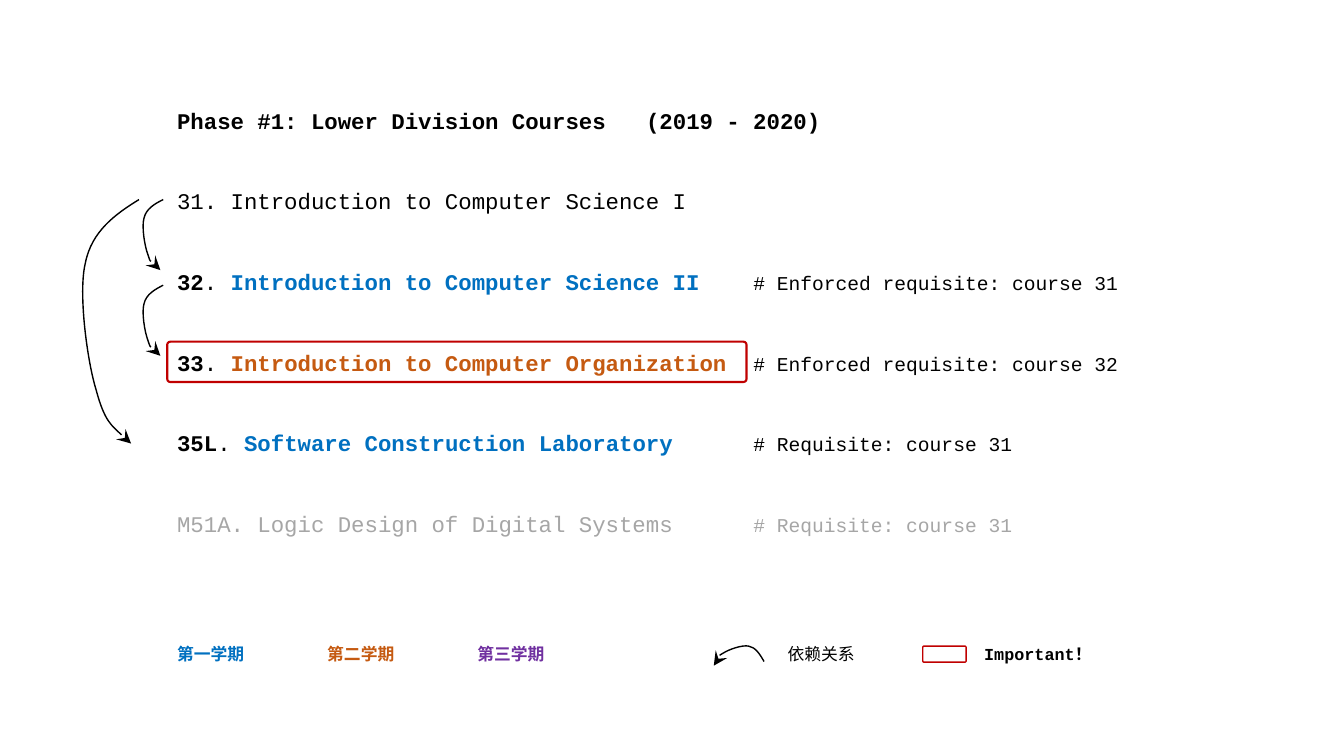
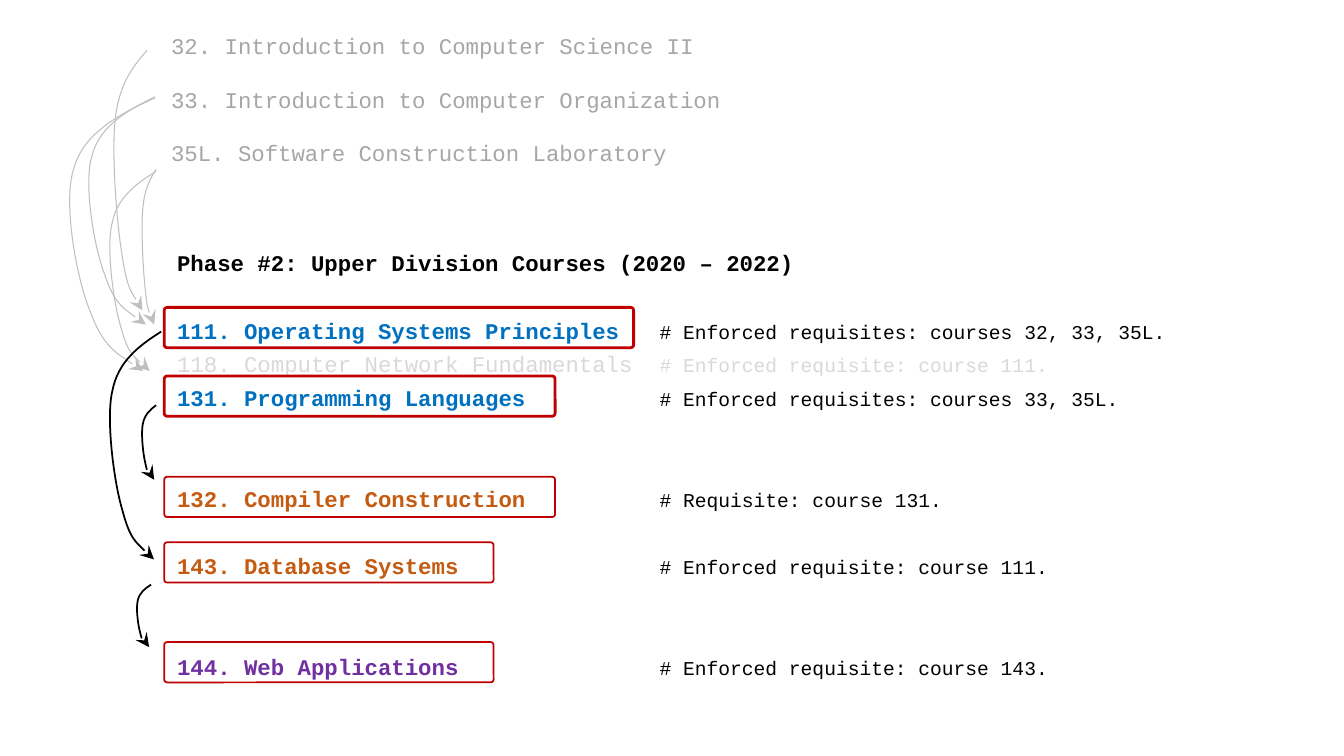
import pptx
import pptx.dml.color
import pptx.enum.shapes
import pptx.enum.text
import pptx.oxml
import pptx.oxml.ns
import pptx.util
from pptx.util import Inches

BLACK, RED = "000000", "C00000"
BLUE, ORANGE, PURPLE = "0070C0", "C55A11", "7030A0"
GREY, PALE, SILVER = "A6A6A6", "D9D9D9", "BFBFBF"
FONT = "Courier New"
CHAR = 0.133  # width of one 16 pt character, in inches

# Arrow outline: shares of bulge (leftwards) and drop, three points a curve
ARROW = [(0.42, 0.06), (0.84, 0.13), (0.95, 0.26),
         (1.08, 0.38), (0.92, 0.66), (0.76, 0.78),
         (0.61, 0.91), (0.38, 0.95), (0.14, 1)]


def colour(hex_text):
    return pptx.dml.color.RGBColor.from_string(hex_text)


def span(text, color=BLACK, bold=False, size=16):
    return text, color, dict(name=FONT, size=pptx.util.Pt(size), bold=bold)


def note(text, color=BLACK):
    return span("\t# " + text, color, size=14)


class Deck:
    def __init__(self):
        self.file = pptx.Presentation()
        self.file.slide_width = Inches(13.34)
        self.file.slide_height = Inches(7.5)
        self.page = None

    def add_page(self):
        self.page = self.file.slides.add_slide(self.file.slide_layouts[6])

    def text(self, left, top, width, height, rows, pitch=None, columns=()):
        """Each row is (empty lines above, spans); columns count characters."""
        box = self.page.shapes.add_textbox(
            Inches(left), Inches(top), Inches(width), Inches(height))
        frame = box.text_frame
        frame.word_wrap = True
        frame.auto_size = pptx.enum.text.MSO_AUTO_SIZE.SHAPE_TO_FIT_TEXT
        for index, (gap, spans) in enumerate(rows):
            para = frame.add_paragraph() if index else frame.paragraphs[0]
            if pitch:
                para.line_spacing = pptx.util.Pt(pitch)
            if gap:
                para.space_before = pptx.util.Pt(gap * pitch)
            if columns:
                self.tabs(para, columns)
            for words, color, style in spans:
                run = para.add_run()
                run.text = words
                run.font.color.rgb = colour(color)
                for name, value in style.items():
                    setattr(run.font, name, value)

    def tabs(self, para, columns):
        properties = para._p.get_or_add_pPr()
        tab_list = properties.makeelement(pptx.oxml.ns.qn("a:tabLst"), {})
        properties.append(tab_list)
        for column in columns:
            tab_list.append(tab_list.makeelement(
                pptx.oxml.ns.qn("a:tab"),
                {"pos": str(int(Inches(column * CHAR))), "algn": "l"}))

    def outline(self, shape, color, weight):
        shape.shadow.inherit = False
        shape.fill.background()
        shape.line.color.rgb = colour(color)
        shape.line.width = pptx.util.Pt(weight)

    def frame(self, left, top, width, height=0.4, weight=1.25):
        shape = self.page.shapes.add_shape(
            pptx.enum.shapes.MSO_SHAPE.ROUNDED_RECTANGLE,
            Inches(left), Inches(top), Inches(width), Inches(height))
        shape.adjustments[0] = 0.074
        self.outline(shape, RED, weight)

    def arrow(self, x, y, bulge, drop, color=BLACK, weight=1.0, rotation=0):
        qn = pptx.oxml.ns.qn
        builder = self.page.shapes.build_freeform(Inches(x), Inches(y))
        builder.add_line_segments(
            [(Inches(x - bulge * across), Inches(y + drop * down))
             for across, down in ARROW], close=False)
        shape = builder.convert_to_shape()
        self.outline(shape, color, weight)
        shape.rotation = rotation
        # Turn every three straight segments into one Bezier curve
        segments = list(shape.element.iter(qn("a:lnTo")))
        for first in range(0, len(segments), 3):
            curve = segments[first].makeelement(qn("a:cubicBezTo"), {})
            segments[first].addprevious(curve)
            for segment in segments[first:first + 3]:
                curve.append(segment[0])
                segment.getparent().remove(segment)
        line = next(shape.element.iter(qn("a:ln")))
        line.append(line.makeelement(
            qn("a:tailEnd"), {"type": "stealth", "w": "lg", "len": "lg"}))


def lower_division(deck):
    deck.add_page()

    # Course list
    def course(number, title, color, requisite):
        return 2, [span(number, bold=True), span(". "),
                   span(title, color, True), note(requisite)]

    deck.text(1.66, 1.01, 10.64, 4.37, [
        (0, [span("Phase #1: Lower Division Courses\t(2019 - 2020)", bold=True)]),
        (2, [span("31. Introduction to Computer Science I")]),
        course("32", "Introduction to Computer Science II", BLUE,
               "Enforced requisite: course 31"),
        course("33", "Introduction to Computer Organization", ORANGE,
               "Enforced requisite: course 32"),
        course("35L", "Software Construction Laboratory", BLUE,
               "Requisite: course 31"),
        (2, [span("M51A. Logic Design of Digital Systems", GREY),
             note("Requisite: course 31", GREY)]),
    ], pitch=19.2, columns=(35, 43))

    # Dependencies
    deck.arrow(1.38, 1.98, 0.56, 2.42)
    for top in (1.98, 2.83):
        deck.arrow(1.62, top, 0.2, 0.7)
    deck.frame(1.66, 3.39, 5.75, weight=1.5)

    # Legend
    for left, words, color, bold in [
            (1.66, "第一学期", BLUE, True),
            (3.15, "第二学期", ORANGE, True),
            (4.64, "第三学期", PURPLE, True),
            (7.72, "依赖关系", BLACK, False),
            (9.67, "Important！", BLACK, True)]:
        deck.text(left, 6.34, 1.4, 0.3, [(0, [span(words, color, bold, 12)])])
    deck.arrow(7.42, 6.25, 0.18, 0.5, rotation=82.3)
    deck.frame(9.16, 6.41, 0.43, 0.16, weight=1)


def upper_division(deck):
    deck.add_page()

    # Course list
    def course(gap, title, color, requisite):
        return gap, [span(title, color, True), note(requisite)]

    deck.text(1.66, 2.36, 10.95, 4.43, [
        (0, [span("Phase #2: Upper Division Courses (2020 – 2022)", bold=True)]),
        course(1, "111. Operating Systems Principles", BLUE,
               "Enforced requisites: courses 32, 33, 35L."),
        (0, [span("118. Computer Network Fundamentals", PALE),
             note("Enforced requisite: course 111.", PALE)]),
        course(0, "131. Programming Languages", BLUE,
               "Enforced requisites: courses 33, 35L."),
        course(2, "132. Compiler Construction", ORANGE, "Requisite: course 131."),
        course(1, "143. Database Systems", ORANGE, "Enforced requisite: course 111."),
        course(2, "144. Web Applications", PURPLE, "Enforced requisite: course 143."),
    ], pitch=24, columns=(36,))

    # Earlier courses
    deck.text(1.6, 0.27, 5.9, 1.44, [
        (0, [span("32. Introduction to Computer Science II", GREY)]),
        (1, [span("33. Introduction to Computer Organization", GREY)]),
        (1, [span("35L. Software Construction Laboratory", GREY)]),
    ], pitch=19.2)

    # Dependencies on earlier courses, then among these
    for place in [(1.55, 1.68, 0.14, 1.54), (1.55, 1.7, 0.46, 1.98),
                  (1.54, 0.96, 0.66, 2.26), (1.54, 0.97, 0.85, 2.71),
                  (1.46, 0.5, 0.33, 2.58)]:
        deck.arrow(*place, color=SILVER, weight=0.75)
    for place in [(1.55, 4.02, 0.14, 0.74), (1.6, 3.29, 0.51, 2.26),
                  (1.5, 5.8, 0.14, 0.62)]:
        deck.arrow(*place, weight=1.25)

    # Important courses
    for top, width, weight in [(3.73, 3.88, 2), (3.05, 4.66, 2), (5.38, 3.27, 1.25),
                               (4.73, 3.88, 1.25), (6.37, 3.27, 1.25)]:
        deck.frame(1.63, top, width, weight=weight)


def main():
    deck = Deck()
    lower_division(deck)
    upper_division(deck)
    deck.file.save("out.pptx")


if __name__ == "__main__":
    main()
